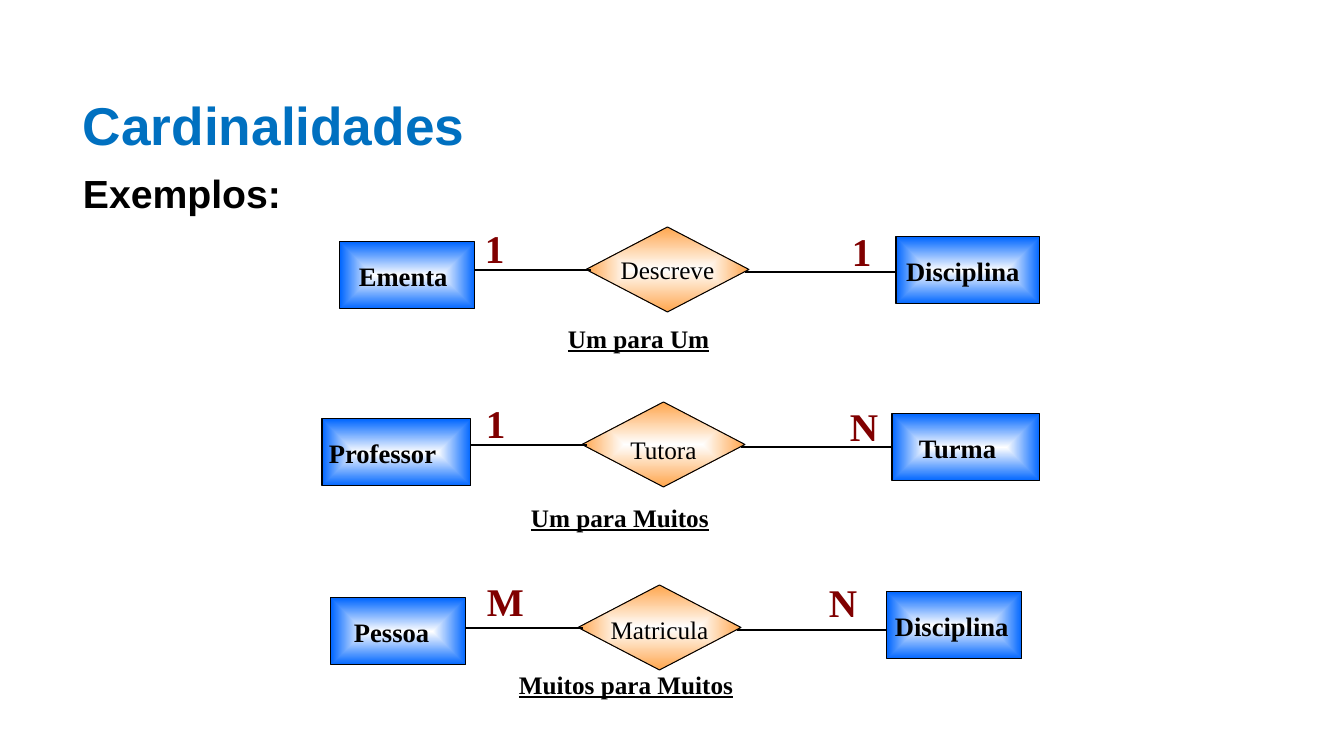
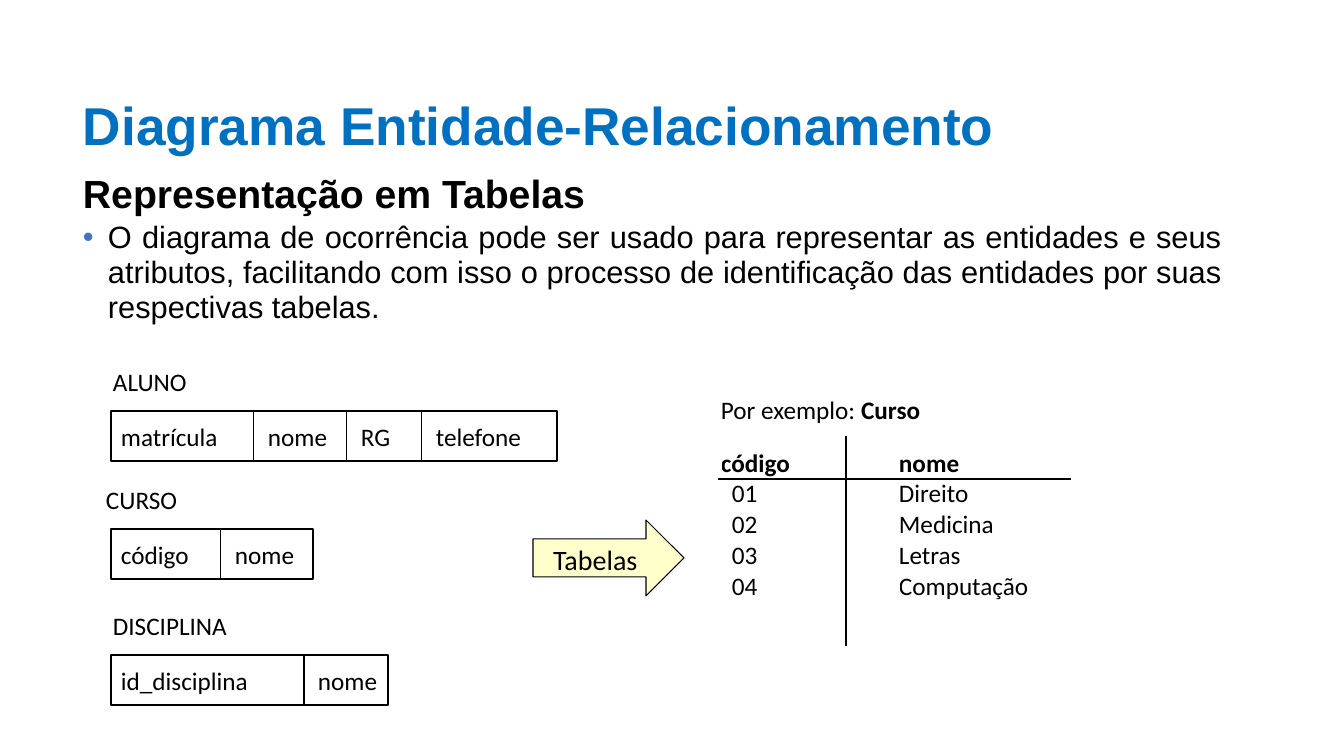
from lxml.etree import SubElement
from pptx import Presentation
from pptx.dml.color import RGBColor
from pptx.enum.shapes import MSO_CONNECTOR, MSO_SHAPE
from pptx.enum.text import MSO_ANCHOR, MSO_AUTO_SIZE, PP_ALIGN
from pptx.oxml import parse_xml
from pptx.oxml.ns import nsdecls, qn
from pptx.util import Pt

# Shared scale, colours and fonts
SLIDE_W, SLIDE_H = 1344, 756
SCALE = 12192000 / SLIDE_W
BLACK, TITLE_BLUE, BULLET_BLUE = "000000", "0070C0", "4472C4"
MAROON, ENTITY_BLUE, RELATION_ORANGE = "800000", "0066FF", "FFA64D"
ARROW_YELLOW = "FFFFCC"
SANS, SERIF, PLAIN = "Arial", "Times New Roman", "Calibri"
MARGIN, CONTENT_W = 83, 1139


def px(length):
    return round(length * SCALE)


def box(*lengths):
    return [px(length) for length in lengths]


def color(hex_string):
    return RGBColor.from_string(hex_string)


# Text
def style(paragraph, font, size, hex_string=BLACK, bold=False, underline=False):
    for run in paragraph.runs:
        run.font.name = font
        run.font.size = Pt(size)
        run.font.color.rgb = color(hex_string)
        run.font.bold = bold
        run.font.underline = underline


def frame(shape, anchor=MSO_ANCHOR.TOP, wrap=True, left=0, top=0):
    text = shape.text_frame
    text.auto_size = MSO_AUTO_SIZE.NONE
    text.word_wrap = wrap
    text.vertical_anchor = anchor
    text.margin_left, text.margin_top = px(left), px(top)
    text.margin_right = text.margin_bottom = 0
    return text


def add_label(slide, x, y, text, font, size, width=300, height=40, **look):
    label = frame(slide.shapes.add_textbox(*box(x, y, width, height)))
    label.text = text
    style(label.paragraphs[0], font, size, **look)
    return label


def add_bullet(paragraph, hex_string):
    props = paragraph._p.get_or_add_pPr()
    props.set("marL", str(px(25)))
    props.set("indent", str(-px(25)))
    bullet_color = SubElement(props, qn("a:buClr"))
    SubElement(bullet_color, qn("a:srgbClr"), val=hex_string)
    SubElement(props, qn("a:buFont"), typeface=SANS)
    SubElement(props, qn("a:buChar"), char="•")


def add_tabs(paragraph, stops):
    tabs = SubElement(paragraph._p.get_or_add_pPr(), qn("a:tabLst"))
    for stop in stops:
        SubElement(tabs, qn("a:tab"), pos=str(px(stop)), algn="l")


# Shapes and lines
def add_outlined(slide, kind, bounds, line_width, fill=None):
    shape = slide.shapes.add_shape(kind, *box(*bounds))
    shape.shadow.inherit = False
    shape.line.color.rgb = color(BLACK)
    shape.line.width = Pt(line_width)
    if fill:
        shape.fill.solid()
        shape.fill.fore_color.rgb = color(fill)
    else:
        shape.fill.background()
    return shape


def glow_from_centre(shape, edge, kind):
    gradient = parse_xml(
        f'<a:gradFill {nsdecls("a")} rotWithShape="1"><a:gsLst>'
        '<a:gs pos="0"><a:srgbClr val="FFFFFF"/></a:gs>'
        f'<a:gs pos="100000"><a:srgbClr val="{edge}"/></a:gs></a:gsLst>'
        f'<a:path path="{kind}"><a:fillToRect l="50000" t="50000" '
        'r="50000" b="50000"/></a:path></a:gradFill>')
    props = shape._element.spPr
    props.replace(props.find(qn("a:solidFill")), gradient)


def add_line(slide, x1, y1, x2, y2, width):
    line = slide.shapes.add_connector(MSO_CONNECTOR.STRAIGHT, *box(x1, y1, x2, y2))
    line.line.color.rgb = color(BLACK)
    line.line.width = Pt(width)
    SubElement(line._element.spPr, qn("a:effectLst"))


# Slide heading
def add_titled_slide(deck, title, subtitle):
    slide = deck.slides.add_slide(deck.slide_layouts[5])
    holder = slide.shapes.title
    holder.left, holder.top, holder.width, holder.height = box(MARGIN, 92, CONTENT_W, 66)
    heading = frame(holder)
    heading.text = title
    heading.paragraphs[0].alignment = PP_ALIGN.LEFT
    style(heading.paragraphs[0], SANS, 38, TITLE_BLUE, bold=True)
    body = add_label(slide, MARGIN, 169, subtitle, SANS, 28,
                     width=CONTENT_W, height=48, bold=True)
    return slide, body


# Entity-relationship diagram
def add_entity(slide, name, x, y, width, indent):
    entity = add_outlined(slide, MSO_SHAPE.RECTANGLE, (x, y, width, 67), 0, ENTITY_BLUE)
    glow_from_centre(entity, ENTITY_BLUE, "shape")
    text = frame(entity, MSO_ANCHOR.MIDDLE, wrap=False, left=indent)
    text.text = name
    text.paragraphs[0].alignment = PP_ALIGN.LEFT
    style(text.paragraphs[0], SERIF, 19, bold=True)


def add_relation(slide, name, x, y, drop):
    relation = add_outlined(slide, MSO_SHAPE.DIAMOND, (x, y, 163, 85), 0, RELATION_ORANGE)
    glow_from_centre(relation, RELATION_ORANGE, "rect")
    text = frame(relation, MSO_ANCHOR.MIDDLE, wrap=False, top=2 * drop)
    text.text = name
    text.paragraphs[0].alignment = PP_ALIGN.CENTER
    style(text.paragraphs[0], SERIF, 18)


def add_relationship(slide, source, relation, target, cardinalities, caption):
    _, source_x, _, source_w, _ = source
    _, relation_x, relation_y, _ = relation
    target_x = target[1]
    middle = relation_y + 43
    add_entity(slide, *source)
    add_relation(slide, *relation)
    add_entity(slide, *target)
    add_line(slide, source_x + source_w, middle, relation_x + 5, middle, 2)
    add_line(slide, relation_x + 159, middle + 2, target_x, middle + 2, 2)
    for mark, x, y in cardinalities:
        add_label(slide, x, y, mark, SERIF, 28, width=45, height=47,
                  hex_string=MAROON, bold=True)
    text, x, y = caption
    add_label(slide, x, y, text, SERIF, 18, bold=True, underline=True)


def build_cardinalities(deck):
    slide, _ = add_titled_slide(deck, "Cardinalidades", "Exemplos:")
    add_relationship(
        slide, ("Ementa", 340, 242, 135, 19), ("Descreve", 586, 227, 0),
        ("Disciplina", 896, 237, 144, 10), [("1", 485, 224), ("1", 852, 227)],
        ("Um para Um", 568, 323))
    add_relationship(
        slide, ("Professor", 322, 419, 149, 7), ("Tutora", 582, 402, 5),
        ("Turma", 892, 414, 148, 27), [("1", 486, 399), ("N", 850, 402)],
        ("Um para Muitos", 531, 502))
    add_relationship(
        slide, ("Pessoa", 331, 598, 135, 23), ("Matricula", 578, 585, 2),
        ("Disciplina", 887, 592, 135, 8), [("M", 487, 577), ("N", 829, 578)],
        ("Muitos para Muitos", 519, 669))


# Entities as tables
def add_record(slide, name, name_x, y, width, fields, dividers):
    left, height, inset, gap = 111, 50, 10, 14
    add_label(slide, name_x, y - 45, name, PLAIN, 18)
    record = add_outlined(slide, MSO_SHAPE.RECTANGLE, (left, y, width, height), 1)
    text = frame(record, MSO_ANCHOR.MIDDLE, left=inset)
    text.text = "\t".join(fields)
    row = text.paragraphs[0]
    row.alignment = PP_ALIGN.LEFT
    add_tabs(row, [x + gap - left - inset for x in dividers])
    style(row, PLAIN, 18)
    for x in dividers:
        add_line(slide, x, y, x, y + height, 0.75)


def add_course_table(slide, rows):
    x, y, row_h, widths = 721, 448, 30, (178, 220)
    table = slide.shapes.add_table(
        len(rows), len(widths), *box(x, y, sum(widths), row_h * len(rows))).table
    table.first_row = table.horz_banding = False
    for column, width in zip(table.columns, widths):
        column.width = px(width)
    for r, values in enumerate(rows):
        for c, value in enumerate(values):
            cell = table.cell(r, c)
            cell.fill.background()
            cell.margin_top = cell.margin_bottom = cell.margin_right = 0
            cell.margin_left = px(11 if r and not c else 0)
            cell.text = value
            style(cell.text_frame.paragraphs[0], PLAIN, 18, bold=r == 0)
    add_line(slide, 718, 479, 1071, 479, 1)
    add_line(slide, 846, 436, 846, 646, 1)


def build_tables(deck):
    slide, body = add_titled_slide(
        deck, "Diagrama Entidade-Relacionamento", "Representação em Tabelas")
    explanation = body.add_paragraph()
    explanation.text = (
        "O diagrama de ocorrência pode ser usado para representar as entidades e seus "
        "atributos, facilitando com isso o processo de identificação das entidades por "
        "suas respectivas tabelas.")
    explanation.alignment = PP_ALIGN.JUSTIFY
    explanation.line_spacing = 0.95
    explanation.space_before = Pt(3)
    add_bullet(explanation, BULLET_BLUE)
    style(explanation, SANS, 22)

    add_record(slide, "ALUNO", 113, 411, 446,
               ["matrícula", "nome", "RG", "telefone"], [254, 347, 422])
    add_record(slide, "CURSO", 106, 529, 202, ["código", "nome"], [221])
    add_record(slide, "DISCIPLINA", 113, 655, 277, ["id_disciplina", "nome"], [304])

    arrow = add_outlined(slide, MSO_SHAPE.RIGHT_ARROW, (533, 520, 151, 76), 0.75, ARROW_YELLOW)
    arrow_text = frame(arrow, MSO_ANCHOR.MIDDLE, wrap=False, left=20, top=2)
    arrow_text.text = "Tabelas"
    arrow_text.paragraphs[0].alignment = PP_ALIGN.LEFT
    style(arrow_text.paragraphs[0], PLAIN, 20)

    example = add_label(slide, 721, 394, "Por exemplo: ", PLAIN, 18).paragraphs[0]
    example.add_run().text = "Curso"
    style(example, PLAIN, 18)
    example.runs[-1].font.bold = True
    add_course_table(slide, [("código", "nome"), ("01", "Direito"), ("02", "Medicina"),
                             ("03", "Letras"), ("04", "Computação")])


def main():
    deck = Presentation()
    deck.slide_width, deck.slide_height = box(SLIDE_W, SLIDE_H)
    build_cardinalities(deck)
    build_tables(deck)
    deck.save("out.pptx")


main()
